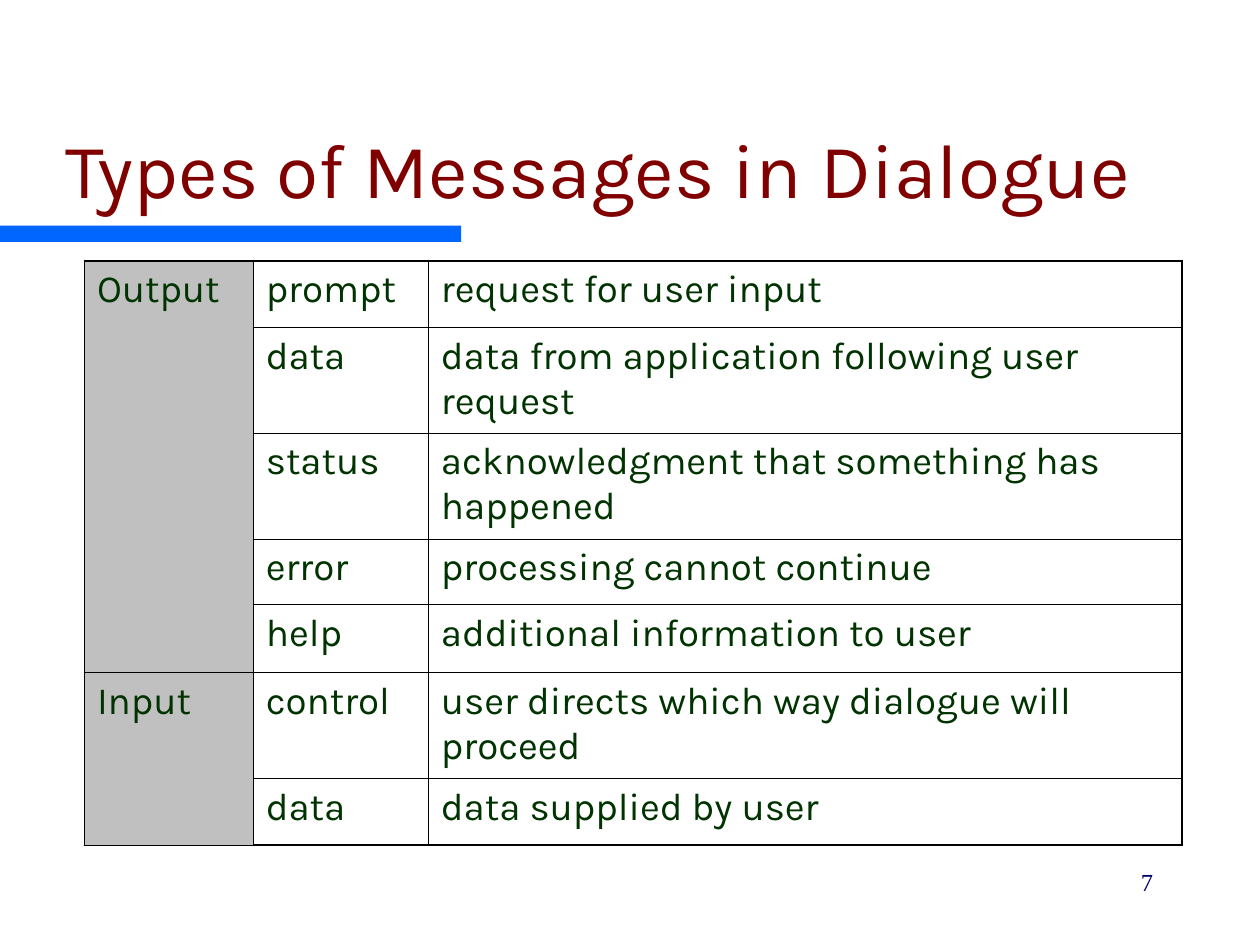
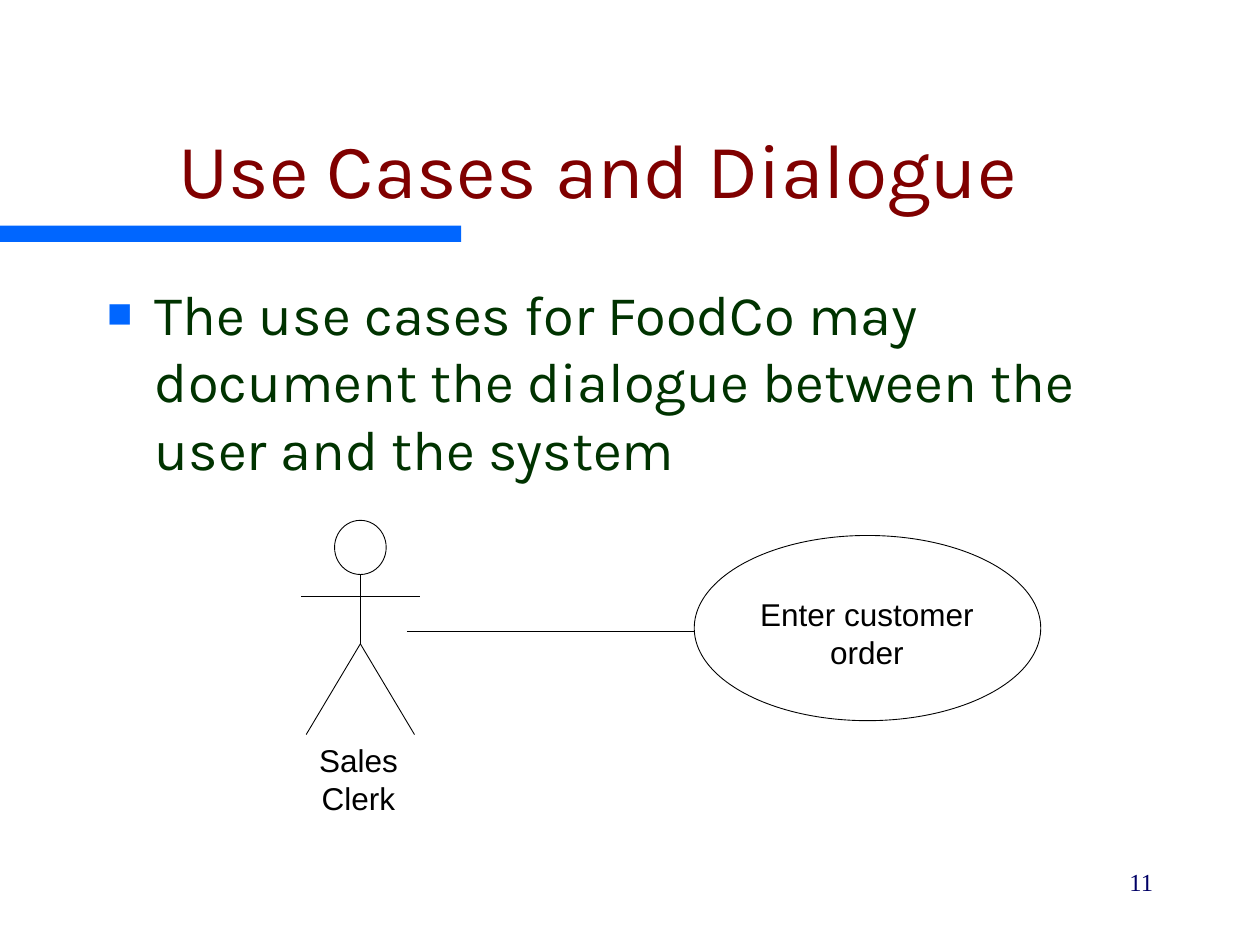
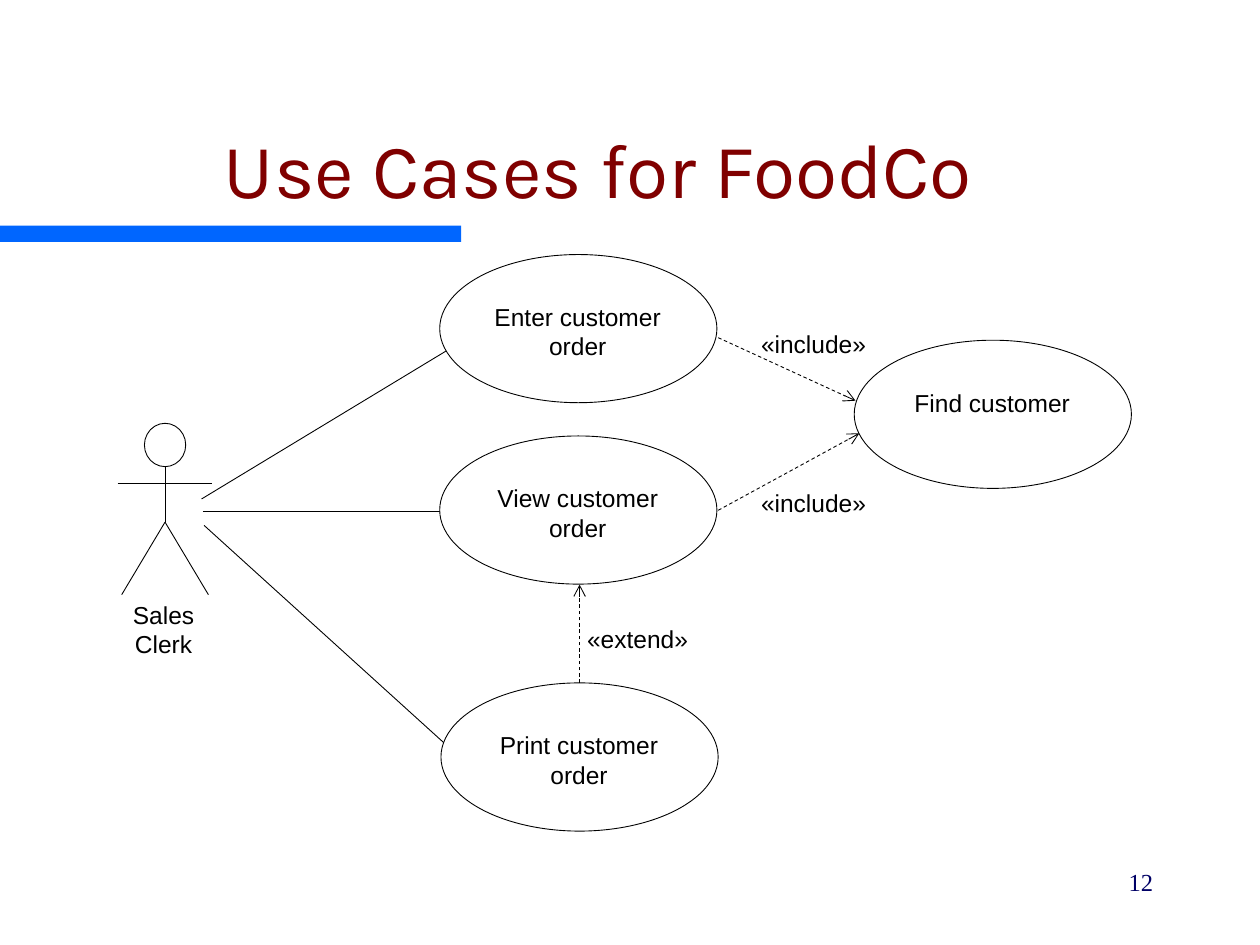
"""Build three slides on dialogue messages and use cases."""

from lxml.etree import SubElement
from pptx import Presentation
from pptx.dml.color import RGBColor
from pptx.enum.dml import MSO_LINE
from pptx.enum.shapes import MSO_CONNECTOR, MSO_SHAPE
from pptx.enum.text import MSO_ANCHOR, MSO_AUTO_SIZE, PP_ALIGN
from pptx.oxml import parse_xml
from pptx.oxml.ns import nsdecls, qn
from pptx.util import Inches, Pt

COLORS = {
    "accent": "0066FF", "title": "800000", "body": "003300", "number": "000066",
    "ink": "000000", "paper": "FFFFFF", "group": "C0C0C0",
}
COLORS = {name: RGBColor.from_string(value) for name, value in COLORS.items()}
LEFT, CENTER, RIGHT = PP_ALIGN.LEFT, PP_ALIGN.CENTER, PP_ALIGN.RIGHT
THEME = {
    "title": {"color": "title", "inset": (0.1, 0.05), "anchor": MSO_ANCHOR.BOTTOM,
              "font": {"name": "Karla", "size": Pt(44)},
              "para": {"alignment": CENTER, "space_before": Pt(0)}},
    "body": {"color": "body", "inset": (0.1, 0.05), "anchor": MSO_ANCHOR.TOP,
             "font": {"name": "Karla", "size": Pt(32)},
             "para": {"alignment": LEFT, "space_before": Pt(8)}},
    "cell": {"color": "body", "inset": (0.1, 0.05), "anchor": MSO_ANCHOR.TOP,
             "font": {"name": "Karla", "size": Pt(22)},
             "para": {"alignment": LEFT, "space_before": Pt(5.5)}},
    "number": {"color": "number", "inset": (0.1, 0.05), "anchor": MSO_ANCHOR.TOP,
               "font": {"name": "Times New Roman", "size": Pt(14)},
               "para": {"alignment": RIGHT, "space_before": Pt(8.8)}},
    "large label": {"color": "ink", "inset": (0, 0), "anchor": MSO_ANCHOR.TOP,
                    "font": {"name": "Arial", "size": Pt(18)},
                    "para": {"alignment": CENTER}},
}
THEME["label"] = {**THEME["large label"], "font": {"name": "Arial", "size": Pt(14)}}
THEME["note"] = {**THEME["label"], "para": {"alignment": LEFT}}
HAIRLINE, OUTER, INNER = Pt(0.5), Pt(1.08), Pt(0.45)


def write(frame, text, style_name):
    """Fill a text frame, one paragraph a line, in a theme style."""
    style = THEME[style_name]
    across, down = map(Inches, style["inset"])
    layout = {"word_wrap": True, "auto_size": MSO_AUTO_SIZE.NONE,
              "vertical_anchor": style["anchor"], "margin_left": across,
              "margin_right": across, "margin_top": down, "margin_bottom": down}
    for name, value in layout.items():
        setattr(frame, name, value)
    frame.text = text
    for para in frame.paragraphs:
        for name, value in style["para"].items():
            setattr(para, name, value)
        for span in para.runs:
            span.font.color.rgb = COLORS[style["color"]]
            for name, value in style["font"].items():
                setattr(span.font, name, value)


def connect(page, start, end, dashed=False):
    """Draw a thin line, or a dashed arrow."""
    line = page.shapes.add_connector(MSO_CONNECTOR.STRAIGHT, *map(Inches, (*start, *end)))
    line.line.color.rgb = COLORS["ink"]
    line.line.width = HAIRLINE
    properties = line._element.spPr
    if dashed:
        line.line.dash_style = MSO_LINE.DASH
        SubElement(properties.find(qn("a:ln")), qn("a:tailEnd"), type="arrow")
    SubElement(properties, qn("a:effectLst"))


deck = Presentation()
deck.slide_width, deck.slide_height = Inches(10), Inches(7.5)

pages = []
for title, number, layout_index in [
    ("Types of Messages in Dialogue", "7", 5),
    ("Use Cases and Dialogue", "11", 1),
    ("Use Cases for FoodCo", "12", 5),
]:
    page = deck.slides.add_slide(deck.slide_layouts[layout_index])
    heading = page.shapes.title
    heading.left, heading.top, heading.width, heading.height = map(Inches, (0.25, 0.5, 9, 1.25))
    write(heading.text_frame, title, "title")
    box = page.shapes.add_textbox(*map(Inches, (7.17, 6.83, 2.08, 0.5)))
    write(box.text_frame, number, "number")
    pages.append(page)
messages_page, dialogue_page, cases_page = pages

band = messages_page.shapes.add_shape(
    MSO_SHAPE.RECTANGLE, *map(Inches, (0, 1.79, 3.66, 0.13)))
band.shadow.inherit = False
band.fill.solid()
band.fill.fore_color.rgb = COLORS["accent"]
band.line.fill.background()
deck.slide_master.shapes.element.append(band.element)

messages = [
    ("Output", "prompt", "request for user input", 0.53),
    ("", "data", "data from application following user request", 0.84),
    ("", "status", "acknowledgment that something has happened", 0.84),
    ("", "error", "processing cannot continue", 0.52),
    ("", "help", "additional information to user", 0.54),
    ("Input", "control", "user directs which way dialogue will proceed", 0.84),
    ("", "data", "data supplied by user", 0.53),
]
column_widths = (1.34, 1.39, 5.98)
last_row, last_column = len(messages) - 1, len(column_widths) - 1
table = messages_page.shapes.add_table(
    len(messages), len(column_widths), *map(Inches, (0.67, 2.07, 8.71, 4.64))).table
table.first_row = table.horz_banding = False
for column, width in zip(table.columns, column_widths):
    column.width = Inches(width)
for row_index, (*texts, height) in enumerate(messages):
    table.rows[row_index].height = Inches(height)
    for column_index, text in enumerate(texts):
        cell = table.cell(row_index, column_index)
        write(cell.text_frame, text, "cell")
        cell.margin_left = cell.margin_right = Inches(0.1)
        cell.margin_top = cell.margin_bottom = Inches(0.05)
        cell.fill.solid()
        cell.fill.fore_color.rgb = COLORS["paper" if column_index else "group"]
        edges = {"lnL": column_index == 0, "lnR": column_index == last_column,
                 "lnT": row_index == 0, "lnB": row_index == last_row}
        for place, (edge, outer) in enumerate(edges.items()):
            border = parse_xml(
                f'<a:{edge} {nsdecls("a")} w="{OUTER if outer else INNER}"><a:solidFill>'
                f'<a:srgbClr val="{COLORS["ink"]}"/></a:solidFill></a:{edge}>')
            cell._tc.get_or_add_tcPr().insert(place, border)
for first, last in [(0, 4), (5, 6)]:
    table.cell(first, 0).merge(table.cell(last, 0))

body = dialogue_page.placeholders[1]
body.left, body.top, body.width, body.height = map(Inches, (0.75, 2.17, 8.5, 4.5))
write(body.text_frame, "The use cases for FoodCo may document the dialogue between "
      "the user and the system", "body")
bullet = body.text_frame.paragraphs[0]._p.get_or_add_pPr()
bullet.set("marL", str(Inches(0.38)))
bullet.set("indent", str(-Inches(0.38)))
SubElement(SubElement(bullet, qn("a:buClr")), qn("a:srgbClr"), val=str(COLORS["accent"]))
SubElement(bullet, qn("a:buSzPct"), val="75000")
SubElement(bullet, qn("a:buChar"), char="■")

diagrams = [
    {"page": dialogue_page, "scale": 1, "style": "large label", "actor": (2.86, 4.13),
     "links": [((3.23, 5.01), (5.62, 5.01))],
     "cases": [("Enter customer\norder", 5.51, 4.25)],
     "arrows": [], "notes": []},
    {"page": cases_page, "scale": 0.8, "style": "label", "actor": (1.31, 3.36),
     "links": [((1.61, 4.06), (3.52, 4.06)), ((1.62, 4.17), (3.55, 5.92)),
               ((1.6, 3.96), (3.55, 2.78))],
     "cases": [("Enter customer\norder", 3.49, 2.02), ("View customer\norder", 3.49, 3.46),
               ("Print customer\norder", 3.5, 5.42), ("Find customer", 6.78, 2.7)],
     "arrows": [((4.6, 5.42), (4.6, 4.64)), ((5.7, 2.68), (6.79, 3.18)),
                ((5.7, 4.05), (6.82, 3.44))],
     "notes": [("«include»", 6.04, 3.87), ("«include»", 6.04, 2.61),
               ("«extend»", 4.66, 4.95)]},
]
limbs = [((0, 0.98), (0, 0.41)), ((-0.47, 0.6), (0.47, 0.6)),
         ((-0.43, 1.7), (0, 0.98)), ((0, 0.98), (0.43, 1.7))]

for diagram in diagrams:
    page, scale = diagram["page"], diagram["scale"]
    actor_x, actor_y = diagram["actor"]
    for start, end in diagram["links"]:
        connect(page, start, end)
    for limb in limbs:
        connect(page, *[(actor_x + scale * x, actor_y + scale * y) for x, y in limb])

    ovals = [(actor_x - 0.205 * scale, actor_y, 0.41, 0.43)]
    labels = [("Sales Clerk", actor_x - 0.59 * scale, actor_y + 1.75 * scale, 1.15, 0.57)]
    for text, left, top in diagram["cases"]:
        ovals.append((left, top, 2.75, 1.47))
        labels.append((text, left + 0.43 * scale, top + 0.47 * scale, 1.88, 0.71))
    for left, top, width, height in ovals:
        oval = page.shapes.add_shape(
            MSO_SHAPE.OVAL, *map(Inches, (left, top, width * scale, height * scale)))
        oval.shadow.inherit = False
        oval.fill.solid()
        oval.fill.fore_color.rgb = COLORS["paper"]
        oval.line.color.rgb = COLORS["ink"]
        oval.line.width = HAIRLINE
    for text, left, top, width, height in labels:
        box = page.shapes.add_textbox(
            *map(Inches, (left, top, width * scale, height * scale)))
        write(box.text_frame, text, diagram["style"])

    for start, end in diagram["arrows"]:
        connect(page, start, end, dashed=True)
    for text, left, top in diagram["notes"]:
        box = page.shapes.add_textbox(*map(Inches, (left, top, 0.84, 0.27)))
        write(box.text_frame, text, "note")

deck.save("out.pptx")
